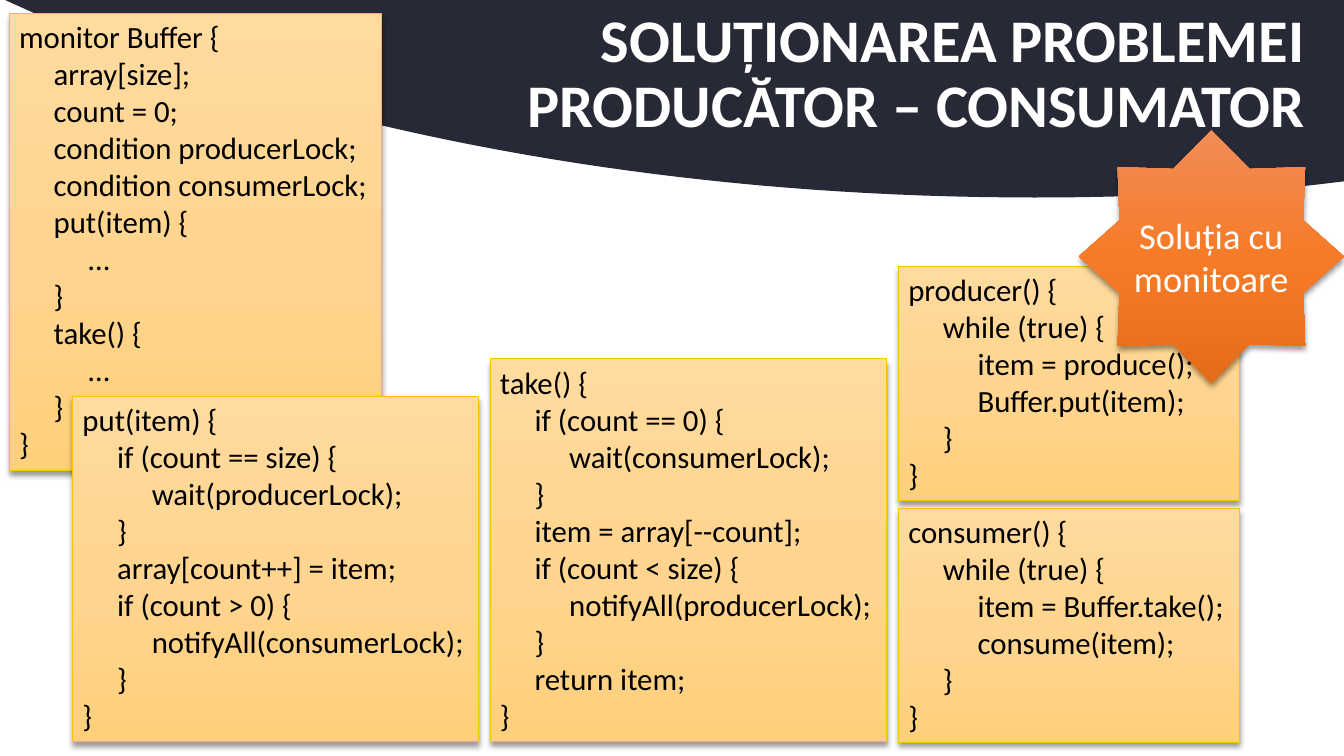
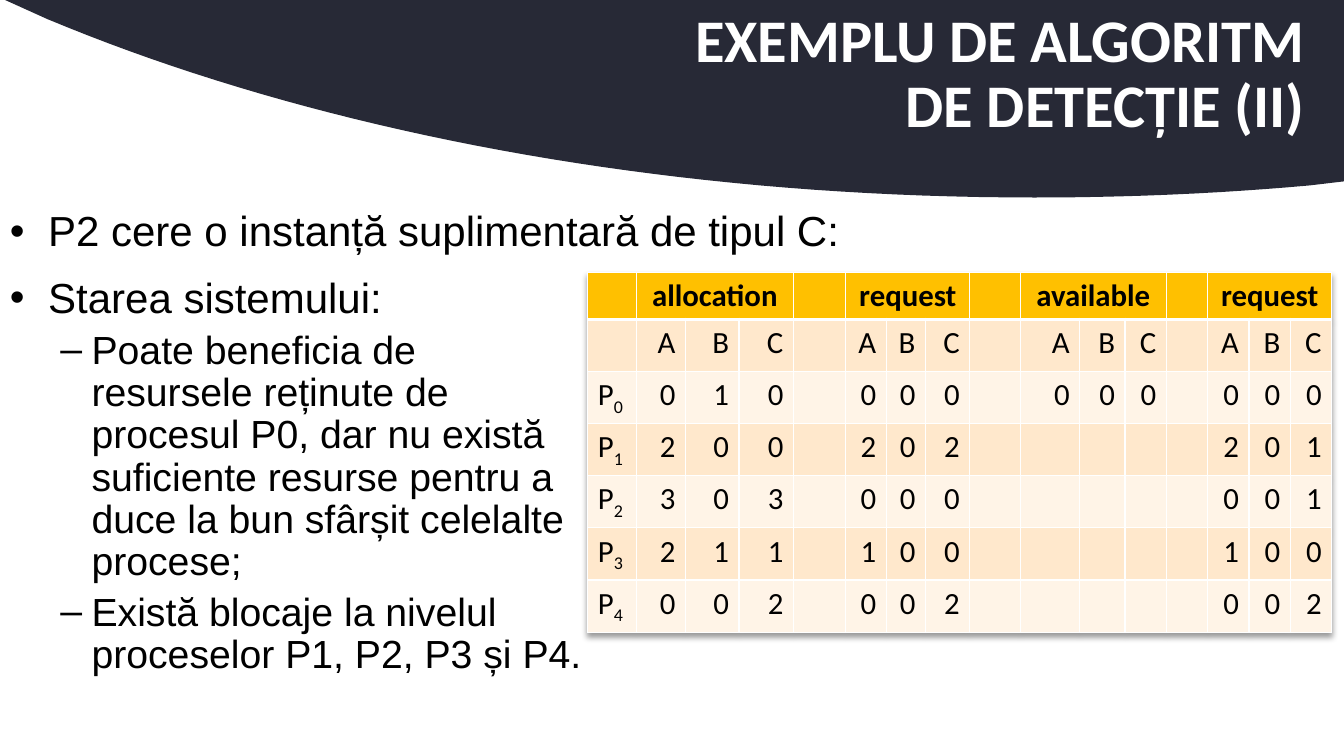
import pptx
import pptx.util
import pptx.dml.color
import pptx.enum.shapes
import pptx.enum.text
import pptx.oxml.ns
from lxml import etree

Inches = pptx.util.Inches
Pt = pptx.util.Pt
qn = pptx.oxml.ns.qn
ALIGN = pptx.enum.text.PP_ALIGN
MIDDLE = pptx.enum.text.MSO_ANCHOR.MIDDLE
SHAPE = pptx.enum.shapes.MSO_SHAPE

COLORS = {
    "band": "272936", "white": "FFFFFF", "text": "000000",
    "gold": "FFC000", "row_dark": "FFE8CC", "row_light": "FFF4E7",
}
CODE_GRADIENT = ["FFDB9E", "FFD590", "FFD07C"]
STAR_GRADIENT = ["F18C57", "F67B28", "E56C19"]

# Content of the monitor slide
MONITOR_TITLE = "SOLUȚIONAREA PROBLEMEI\vPRODUCĂTOR – CONSUMATOR"
STAR_TEXT = "Soluția cu monitoare"
CODE_BOXES = [
    ((0.09, 0.13, 3.69, 4.54), """monitor Buffer {
     array[size];
     count = 0;
     condition producerLock;
     condition consumerLock;
     put(item) {
          …
     }
     take() {
          …
     }
}"""),
    ((4.86, 3.56, 3.93, 3.8), """take() {
     if (count == 0) {
          wait(consumerLock);
     }
     item = array[--count];
     if (count < size) {
          notifyAll(producerLock);
     }
     return item;
}"""),
    ((8.91, 2.64, 3.38, 2.32), """producer() {
     while (true) {
          item = produce();
          Buffer.put(item);
     }
}"""),
    ((8.91, 5.04, 3.38, 2.32), """consumer() {
     while (true) {
          item = Buffer.take();
          consume(item);
     }
}"""),
    ((0.72, 3.93, 4.03, 3.43), """put(item) {
     if (count == size) {
          wait(producerLock);
     }
     array[count++] = item;
     if (count > 0) {
          notifyAll(consumerLock);
     }
}"""),
]

# Content of the detection slide
DETECTION_TITLE = "EXEMPLU DE ALGORITM\vDE DETECȚIE (II)"
REQUEST_BULLET = [("P2 cere o instanță suplimentară de tipul C:", 0)]
STATE_BULLETS = [
    ("Starea sistemului:", 0),
    ("Poate beneficia de resursele reținute de procesul P0, dar nu există "
     "suficiente resurse pentru a duce la bun sfârșit celelalte procese;", 1),
    ("Există blocaje la nivelul proceselor P1, P2, P3 și P4.", 1),
]
# Each group: heading, then one string of A, B, C values per process
GROUPS = [
    ("allocation", ["010", "200", "303", "211", "002"]),
    ("request", ["000", "202", "000", "100", "002"]),
    ("available", ["000"]),
    ("request", ["000", "201", "001", "100", "002"]),
]
PROCESS_COUNT = 5
COLUMN_WIDTHS = [0.48, 0.49, 0.53, 0.54, 0.52, 0.4, 0.39, 0.44,
                 0.5, 0.59, 0.45] + [0.41] * 5
TABLE_HEIGHT, HEADER_HEIGHT = 3.56, 0.47
# Bullet levels: sign, left margin, hanging indent, size
LEVELS = [("•", 0.38, 0.38, 30), ("–", 0.81, 0.31, 28)]

# Band outline: straight corners, then two Bezier curves
BAND_CORNERS = [(0.05, 0), (13.33, 0), (13.33, 1.8), (12.99, 1.84)]
BAND_CURVES = [
    [(12.99, 1.84), (12.1, 1.92), (11.19, 1.96), (10.26, 1.96)],
    [(10.26, 1.96), (6.54, 1.96), (3.13, 1.3), (0.47, 0.19)],
]


def rgb(name):
    return pptx.dml.color.RGBColor.from_string(COLORS[name])


def inches(values):
    return [Inches(value) for value in values]


def write(para, text, size=22, font="Calibri", color="text", bold=False,
          align=None, spacing=None, subscript=""):
    para.text = text
    if subscript:
        span = para.add_run()
        span.text = subscript
        span.font._element.set("baseline", "-25000")
    for span in para.runs:
        span.font.name, span.font.size, span.font.bold = font, Pt(size), bold
        span.font.color.rgb = rgb(color)
    if align is not None:
        para.alignment = align
    if spacing is not None:
        para.line_spacing = spacing


def paragraphs(frame, count):
    return [frame.paragraphs[0]] + [frame.add_paragraph() for _ in range(count - 1)]


def add_shadow(effects):
    shadow = etree.SubElement(effects, qn("a:outerShdw"), blurRad=str(Pt(4)),
                              dist=str(Pt(3)), dir="5400000", rotWithShape="0")
    black = etree.SubElement(shadow, qn("a:srgbClr"), val="000000")
    etree.SubElement(black, qn("a:alpha"), val="40000")


def add_gradient_shape(page, kind, place, gradient, line=None):
    shape = page.shapes.add_shape(kind, *inches(place))
    shape.fill.gradient()
    shape.fill.gradient_angle = 270
    properties = shape._element.spPr
    stops = properties.find(".//" + qn("a:gsLst"))
    for stop in list(stops):
        stops.remove(stop)
    for index, color in enumerate(gradient):
        stop = etree.SubElement(stops, qn("a:gs"), pos=str(index * 50000))
        etree.SubElement(stop, qn("a:srgbClr"), val=color)
    if line:
        shape.line.color.rgb = rgb(line)
        shape.line.width = Pt(0.5)
    else:
        shape.line.fill.background()
    shape.shadow.inherit = False
    add_shadow(properties.find(qn("a:effectLst")))
    shape.text_frame.word_wrap = True
    return shape


def curve_points(start, first, second, end, steps=40):
    for step in range(1, steps + 1):
        t = step / steps
        yield tuple((1 - t) ** 3 * a + 3 * (1 - t) ** 2 * t * b
                    + 3 * (1 - t) * t ** 2 * c + t ** 3 * d
                    for a, b, c, d in zip(start, first, second, end))


def add_page(deck, title):
    page = deck.slides.add_slide(deck.slide_layouts[6])
    outline = BAND_CORNERS + [p for curve in BAND_CURVES for p in curve_points(*curve)]
    builder = page.shapes.build_freeform(*inches(outline[0]), scale=1.0)
    builder.add_line_segments([inches(point) for point in outline[1:]], close=True)
    band = builder.convert_to_shape()
    band.fill.solid()
    band.fill.fore_color.rgb = rgb("band")
    band.line.fill.background()
    band.shadow.inherit = False

    frame = page.shapes.add_textbox(*inches((0.92, 0.02, 12.42, 1.45))).text_frame
    frame.word_wrap = True
    frame.vertical_anchor = MIDDLE
    frame.margin_right = Inches(0.4)
    write(frame.paragraphs[0], title, size=43.2, color="white", bold=True,
          align=ALIGN.RIGHT, spacing=0.9)
    return page


def add_bullets(page, place, items):
    frame = page.shapes.add_textbox(*inches(place)).text_frame
    frame.word_wrap = True
    for index, (para, (text, level)) in enumerate(
            zip(paragraphs(frame, len(items)), items)):
        sign, margin, hanging, size = LEVELS[level]
        properties = para._p.get_or_add_pPr()
        properties.set("marL", str(Inches(margin)))
        properties.set("indent", str(-Inches(hanging)))
        etree.SubElement(properties, qn("a:buFont"), typeface="Arial")
        etree.SubElement(properties, qn("a:buChar"), char=sign)
        para.level = level
        if index:
            para.space_before = Pt(size * 0.2)
        write(para, text, size=size, font="Arial", spacing=0.9)


def style_cell(cell, fill, top=1, bottom=1):
    properties = cell._tc.get_or_add_tcPr()
    for side, width in (("L", 1), ("R", 1), ("T", top), ("B", bottom)):
        line = etree.SubElement(properties, qn("a:ln" + side), w=str(Pt(width)))
        solid = etree.SubElement(line, qn("a:solidFill"))
        etree.SubElement(solid, qn("a:srgbClr"), val=COLORS["white"])
    cell.fill.solid()
    cell.fill.fore_color.rgb = rgb(fill)


def add_state_table(page):
    row_count = PROCESS_COUNT + 2
    place = (5.83, 2.7, sum(COLUMN_WIDTHS), TABLE_HEIGHT)
    table = page.shapes.add_table(row_count, len(COLUMN_WIDTHS), *inches(place)).table
    table.first_row = table.horz_banding = False
    effects = etree.Element(qn("a:effectLst"))
    table._tbl.tblPr.insert(0, effects)
    add_shadow(effects)
    for column, width in zip(table.columns, COLUMN_WIDTHS):
        column.width = Inches(width)
    body_height = (TABLE_HEIGHT - HEADER_HEIGHT) / (row_count - 1)
    for index, row in enumerate(table.rows):
        row.height = Inches(body_height if index else HEADER_HEIGHT)
        for cell in row.cells:
            if index == 0:
                style_cell(cell, "gold", bottom=3)
            else:
                style_cell(cell, "row_dark" if index % 2 else "row_light",
                           top=3 if index == 1 else 1)

    for process in range(PROCESS_COUNT):
        write(table.cell(process + 2, 0).text_frame.paragraphs[0], "P",
              subscript=str(process))
    for group, (heading, values) in enumerate(GROUPS):
        first = 1 + 4 * group
        header = table.cell(0, first)
        header.merge(table.cell(0, first + 2))
        write(header.text_frame.paragraphs[0], heading, bold=True, align=ALIGN.CENTER)
        for row, letters in enumerate(["ABC"] + values, start=1):
            for offset, letter in enumerate(letters):
                write(table.cell(row, first + offset).text_frame.paragraphs[0],
                      letter, align=ALIGN.RIGHT)


def main():
    deck = pptx.Presentation()
    deck.slide_width, deck.slide_height = Inches(13.33), Inches(7.5)

    # Monitor solution
    page = add_page(deck, MONITOR_TITLE)
    for place, code in CODE_BOXES:
        box = add_gradient_shape(page, SHAPE.RECTANGLE, place, CODE_GRADIENT, line="gold")
        frame = box.text_frame
        frame.margin_right = 0
        frame.vertical_anchor = pptx.enum.text.MSO_ANCHOR.TOP
        lines = code.split("\n")
        for para, line in zip(paragraphs(frame, len(lines)), lines):
            write(para, line, align=ALIGN.LEFT)
    star = add_gradient_shape(page, SHAPE.STAR_8_POINT, (10.7, 1.29, 2.63, 2.51),
                              STAR_GRADIENT)
    star.text_frame.vertical_anchor = MIDDLE
    write(star.text_frame.paragraphs[0], STAR_TEXT, size=26, color="white",
          align=ALIGN.CENTER)

    # Deadlock detection
    page = add_page(deck, DETECTION_TITLE)
    add_bullets(page, (0, 2.04, 13.33, 0.66), REQUEST_BULLET)
    add_state_table(page)
    add_bullets(page, (0, 2.7, 5.91, 4.55), STATE_BULLETS)

    deck.save("out.pptx")


if __name__ == "__main__":
    main()
